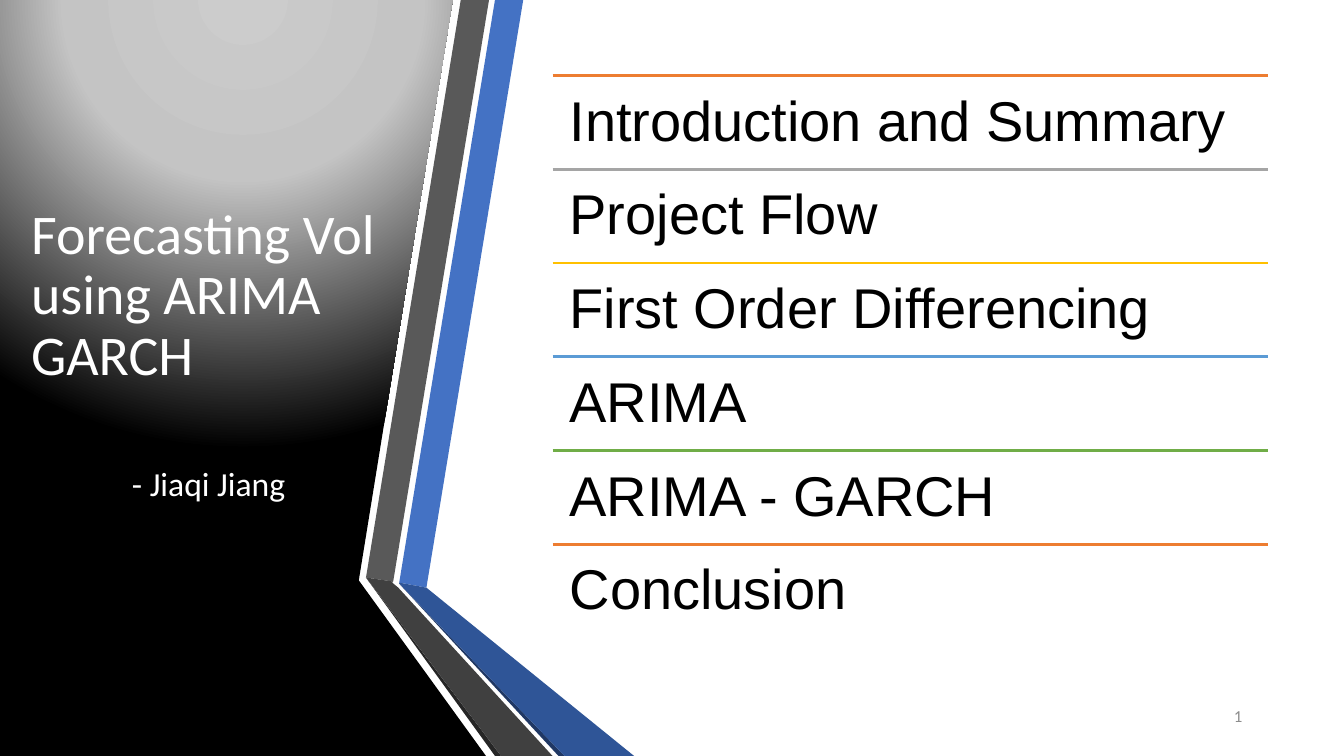
from lxml import etree
from pptx import Presentation
from pptx.dml.color import RGBColor
from pptx.enum.shapes import MSO_CONNECTOR
from pptx.enum.text import MSO_ANCHOR, PP_ALIGN
from pptx.oxml import parse_xml
from pptx.oxml.ns import nsdecls, qn
from pptx.util import Pt

PX = 9144  # 100 px to the inch

WHITE = RGBColor(0xFF, 0xFF, 0xFF)
BLACK = RGBColor(0x00, 0x00, 0x00)
NUMBER_GRAY = RGBColor(0x8C, 0x8C, 0x8C)
BLUE = RGBColor(0x44, 0x72, 0xC4)
BLUE_FOLD = RGBColor(0x2F, 0x55, 0x97)
BLUE_SHADE = RGBColor(0x20, 0x38, 0x64)
GRAY = RGBColor(0x59, 0x59, 0x59)
GRAY_FOLD = RGBColor(0x40, 0x40, 0x40)
GRAY_SHADE = RGBColor(0x26, 0x26, 0x26)
GLOW_CENTER = RGBColor(0xCC, 0xCC, 0xCC)
GLOW_EDGE = RGBColor(0xC4, 0xC4, 0xC4)
ORANGE = RGBColor(0xED, 0x7D, 0x31)
SILVER = RGBColor(0xA5, 0xA5, 0xA5)
GOLD = RGBColor(0xFF, 0xC0, 0x00)
SKY = RGBColor(0x5B, 0x9B, 0xD5)
GREEN = RGBColor(0x70, 0xAD, 0x47)

PANEL_OUTLINE = [(353, 0), (449, 0), (356, 575), (356, 576), (482, 750), (0, 750), (0, 0)]
PANEL_STOPS = [(0, GLOW_CENTER), (40, GLOW_EDGE), (100, BLACK)]

RIBBON_PIECES = [
    (BLUE, [(396, 578), (423, 583), (519, 0), (491, 0)]),
    (GRAY, [(485, 0), (457, 0), (363, 573), (390, 577)]),
    (GRAY_SHADE, [(363, 573), (491, 750), (497, 750)]),
    (BLUE_SHADE, [(396, 579), (554, 750), (560, 750)]),
    (BLUE_FOLD, [(396, 579), (560, 750), (629, 750), (423, 583), (396, 578)]),
    (GRAY_FOLD, [(548, 750), (395, 583), (389, 578), (390, 577), (363, 573), (497, 750)]),
]

AGENDA = [
    ("Introduction and Summary", ORANGE),
    ("Project Flow", SILVER),
    ("First Order Differencing", GOLD),
    ("ARIMA", SKY),
    ("ARIMA - GARCH", GREEN),
    ("Conclusion", ORANGE),
]


def add_outline(shapes, left, top, points):
    """Add a closed, lineless polygon whose points are relative to left, top."""
    placed = [(left + x, top + y) for x, y in points]
    builder = shapes.build_freeform(*placed[0], scale=PX)
    builder.add_line_segments(placed[1:], close=True)
    outline = builder.convert_to_shape()
    outline.shadow.inherit = False
    outline.line.fill.background()
    return outline


def add_text_frame(shapes, left, top, width, height, inset_x, inset_y, anchor):
    box = shapes.add_textbox(left * PX, top * PX, width * PX, height * PX)
    frame = box.text_frame
    frame.word_wrap = True
    frame.vertical_anchor = anchor
    frame.margin_left = frame.margin_right = inset_x * PX
    frame.margin_top = frame.margin_bottom = inset_y * PX
    return frame


def add_run(paragraph, text, font_name, size, color):
    run = paragraph.add_run()
    run.text = text
    run.font.name = font_name
    run.font.size = Pt(size)
    run.font.color.rgb = color


def add_panel(slide, left, top):
    panel = add_outline(slide.shapes, left, top, PANEL_OUTLINE)
    stops = "".join(
        f'<a:gs pos="{percent * 1000}"><a:srgbClr val="{color}"/></a:gs>'
        for percent, color in PANEL_STOPS
    )
    glow = parse_xml(
        f'<a:gradFill {nsdecls("a")} rotWithShape="1"><a:gsLst>{stops}</a:gsLst>'
        '<a:path path="circle">'
        '<a:fillToRect l="50000" t="-80000" r="50000" b="180000"/>'
        '</a:path></a:gradFill>'
    )
    panel.element.spPr.find(qn("a:custGeom")).addnext(glow)


def add_ribbons(slide, left, top):
    ribbons = slide.shapes.add_group_shape()
    for color, points in RIBBON_PIECES:
        piece = add_outline(ribbons.shapes, left, top, points)
        piece.fill.solid()
        piece.fill.fore_color.rgb = color


def add_title(slide, left, top, width, height):
    frame = add_text_frame(slide.shapes, left, top, width, height, 10, 5, MSO_ANCHOR.MIDDLE)
    title = frame.paragraphs[0]
    title.line_spacing = 0.9
    add_run(title, "Forecasting Vol", "Calibri", 40, WHITE)
    title.add_line_break()
    add_run(title, "using ARIMA GARCH", "Calibri", 40, WHITE)

    author = frame.add_paragraph()
    author.line_spacing = 0.9
    author.space_before = Pt(57)
    author._p.get_or_add_pPr().set("marL", str(100 * PX))
    add_run(author, "- Jiaqi Jiang", "Calibri", 24, WHITE)


def add_agenda(slide, left, top, width, row_height):
    for row, (topic, color) in enumerate(AGENDA):
        y = top + row * row_height
        rule = slide.shapes.add_connector(
            MSO_CONNECTOR.STRAIGHT, left * PX, y * PX, (left + width) * PX, y * PX
        )
        rule.line.color.rgb = color
        rule.line.width = Pt(2)
        etree.SubElement(rule.element.spPr, qn("a:effectLst"))

        frame = add_text_frame(
            slide.shapes, left, y, width, row_height, 17, 17, MSO_ANCHOR.TOP
        )
        entry = frame.paragraphs[0]
        entry.line_spacing = 0.9
        add_run(entry, topic, "Arial", 40, BLACK)


def add_slide_number(slide, left, top, width, height):
    frame = add_text_frame(slide.shapes, left, top, width, height, 10, 5, MSO_ANCHOR.MIDDLE)
    number = frame.paragraphs[0]
    number.alignment = PP_ALIGN.RIGHT
    number.space_after = Pt(6)
    number._p.append(parse_xml(
        f'<a:fld {nsdecls("a")} id="{{B6F15528-21DE-4FAA-801E-634DDDAF4B2B}}" type="slidenum">'
        f'<a:rPr lang="en-US" sz="1200"><a:solidFill><a:srgbClr val="{NUMBER_GRAY}"/></a:solidFill>'
        '<a:latin typeface="Calibri"/></a:rPr><a:t>1</a:t></a:fld>'
    ))


def main():
    deck = Presentation()
    deck.slide_width = 1333 * PX
    deck.slide_height = 750 * PX
    slide = deck.slides.add_slide(deck.slide_layouts[6])
    slide.background.fill.solid()
    slide.background.fill.fore_color.rgb = WHITE

    add_panel(slide, 0, 0)
    add_ribbons(slide, 0, 0)
    add_title(slide, 21, 73, 388, 558)
    add_slide_number(slide, 1123, 690, 119, 40)
    add_agenda(slide, 548, 75, 710, 93)
    deck.save("out.pptx")


if __name__ == "__main__":
    main()
